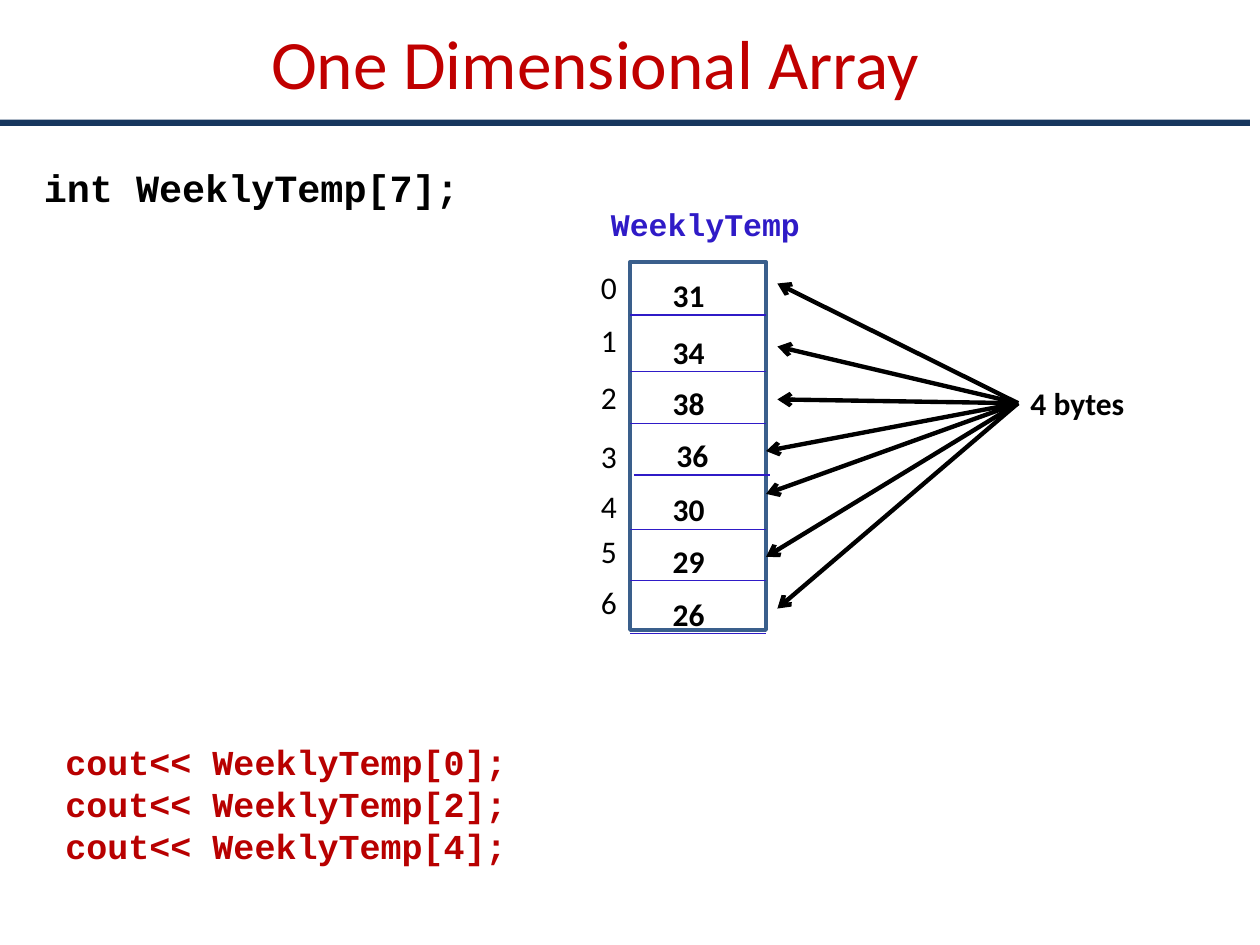
from pptx import Presentation
from pptx.dml.color import RGBColor
from pptx.enum.shapes import MSO_CONNECTOR, MSO_SHAPE
from pptx.enum.text import MSO_ANCHOR, MSO_AUTO_SIZE, PP_ALIGN
from pptx.oxml.ns import qn
from pptx.util import Pt
from lxml import etree

RECT = MSO_SHAPE.RECTANGLE
LINE = MSO_CONNECTOR.STRAIGHT
MID, TOP = MSO_ANCHOR.MIDDLE, MSO_ANCHOR.TOP
LEFT, CENTER = PP_ALIGN.LEFT, PP_ALIGN.CENTER
GROW, FIXED = MSO_AUTO_SIZE.SHAPE_TO_FIT_TEXT, MSO_AUTO_SIZE.NONE

PX = 9144
COLORS = {
    "title": "C00000", "bar": "17375E", "frame": "3A5F8C",
    "array": "2F1BC7", "code": "B80000", "ink": "000000",
}
SANS, MONO = "Calibri", "Courier New"

HEAD = "One Dimensional Array"
TEXTS = [
    (["int WeeklyTemp[7];"], (25, 125, 450, 47), 22, "ink"),
    (["WeeklyTemp"], (475, 158, 200, 40), 18, "array"),
    ([f"cout<< WeeklyTemp[{i}];" for i in (0, 2, 4)],
     (42, 583, 442, 145), 20, "code"),
]
CELL_X, CELL_W, ROW_H = 500, 108, 40
CELLS = [
    # value, shift, rule, index top, arrow end
    ("31", 0, 250, 208, (617, 225)),
    ("34", 0, 295, 250, (617, 275)),
    ("38", 0, 336, 295, (617, 317)),
    ("36", 3, 377, 342, (608, 358)),
    ("30", 0, 420, 382, (608, 392)),
    ("29", 0, 461, 417, (608, 442)),
    ("26", 0, 503, 458, (617, 483)),
][:]


def paint(color):
    return RGBColor.from_string(COLORS[color])


def text(lines, box, size, color, font=SANS, bold=True, wrap=True,
         align=LEFT, anchor=TOP, fit=GROW):
    shape = slide.shapes.add_textbox(*[v * PX for v in box])
    frame = shape.text_frame
    for name, value in {"word_wrap": wrap, "auto_size": fit,
                        "vertical_anchor": anchor}.items():
        setattr(frame, name, value)
    frame.text = "\n".join(lines)
    for para in frame.paragraphs:
        para.alignment = align
        face = para.runs[0].font
        for name, value in {"size": Pt(size), "name": font,
                            "bold": bold}.items():
            setattr(face, name, value)
        face.color.rgb = paint(color)
    return shape


def rect(box):
    shape = slide.shapes.add_shape(RECT, *[v * PX for v in box])
    shape.shadow.inherit = False
    return shape


def rule(start, end, color, width):
    line = slide.shapes.add_connector(
        LINE, *[v * PX for v in (*start, *end)])
    line.line.color.rgb = paint(color)
    line.line.width = Pt(width)
    etree.SubElement(line._element.spPr, qn("a:effectLst"))
    return line


deck = Presentation()
deck.slide_width, deck.slide_height = 1000 * PX, 750 * PX
slide = deck.slides.add_slide(deck.slide_layouts[6])

text([HEAD], (11, 10, 923, 78), 39.6, "title", bold=False,
     align=CENTER, anchor=MID, fit=FIXED)
bar = rect((0, 95, 992, 5))
bar.fill.solid()
bar.fill.fore_color.rgb = paint("bar")
bar.line.fill.background()

frame = rect((CELL_X, 208, CELL_W, 292))
frame.fill.background()
frame.line.color.rgb = paint("frame")
frame.line.width = Pt(2)

for lines, box, size, color in TEXTS:
    text(lines, box, size, color, MONO)

note = text(["4 bytes"], (808, 300, 95, ROW_H), 18, "ink", wrap=False)
for i, (value, shift, base, top, tip) in enumerate(CELLS):
    x = CELL_X + shift
    rule((x, base), (x + CELL_W, base), "array", 0.75)
    text([value], (x + 24, base - 36, 46, ROW_H), 18, "ink", wrap=False)
    text([str(i)], (467, top, 33, ROW_H), 18, "ink", bold=False, wrap=False)
    arrow = rule((808, 320), tip, "ink", 2.5)
    arrow.begin_connect(note, 1)
    etree.SubElement(arrow.line._get_or_add_ln(), qn("a:tailEnd"), type="arrow")

deck.save("out.pptx")
